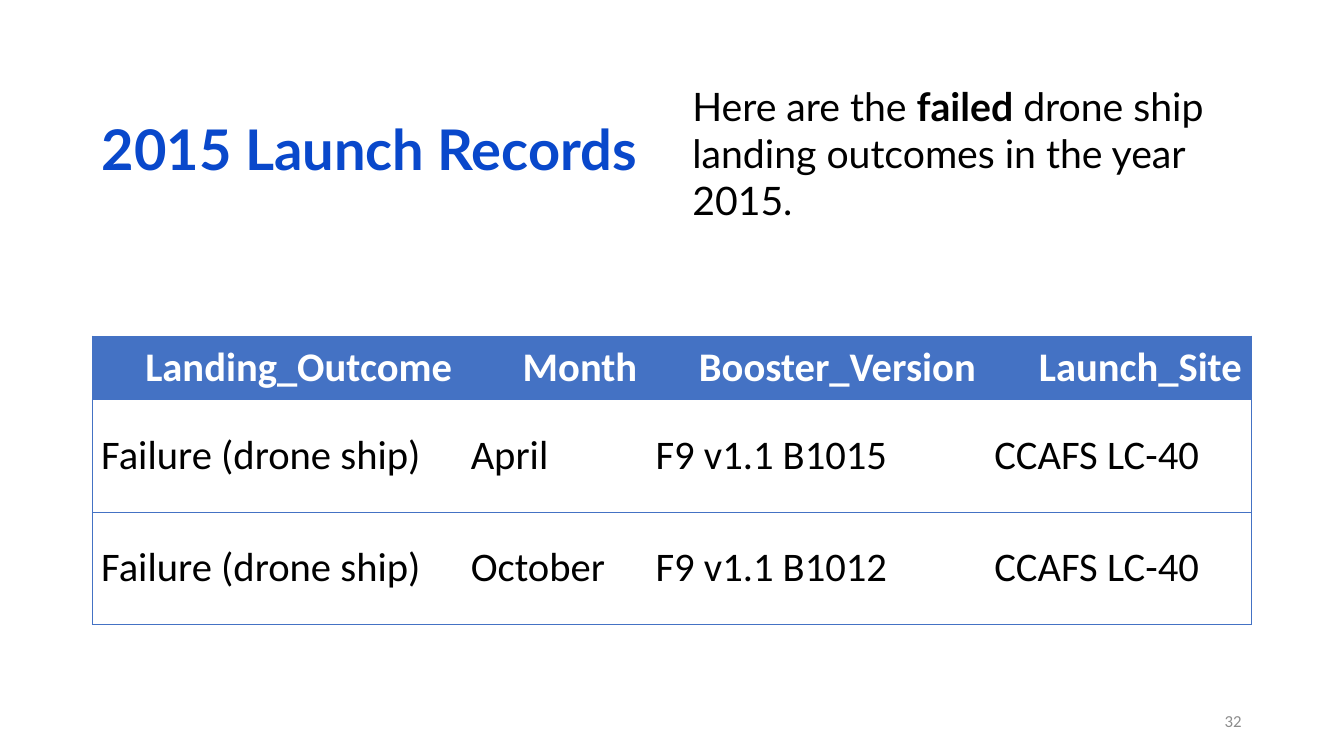
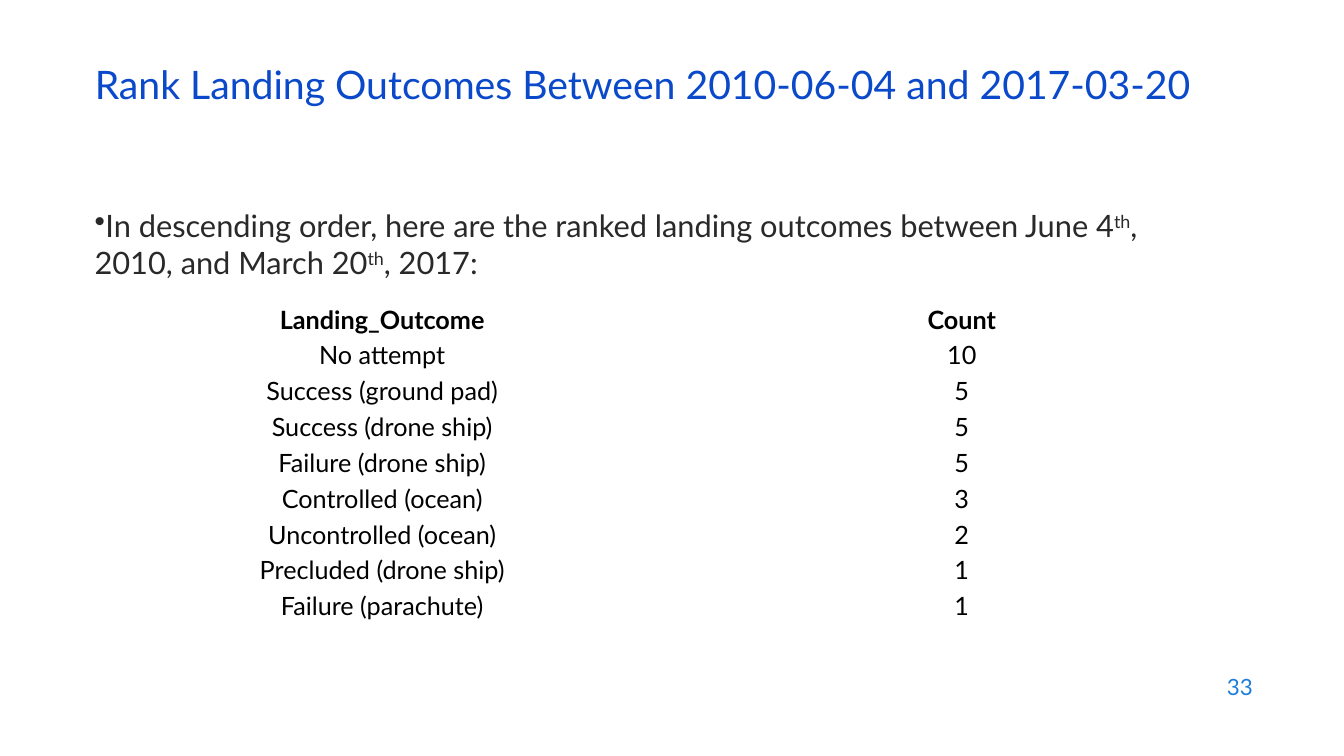
from dataclasses import dataclass

from lxml import etree
from pptx import Presentation
from pptx.dml.color import RGBColor
from pptx.enum.text import MSO_ANCHOR, MSO_AUTO_SIZE, PP_ALIGN
from pptx.oxml.ns import qn
from pptx.util import Pt

NO_STYLE = "{2D5ABB26-0587-4C30-8999-92F81FD0307C}"


@dataclass(frozen=True)
class Font:
    name: str
    size: float
    color: str
    bold: bool = False

    def apply(self, r, mark=""):
        """Format a run; mark is "b" for bold or "sup" for superscript."""
        r.font.name, r.font.size = self.name, Pt(self.size)
        r.font.bold = self.bold or mark == "b"
        r.font.color.rgb = RGBColor.from_string(self.color)
        if mark == "sup":
            r._r.get_or_add_rPr().set("baseline", "30000")


@dataclass(frozen=True)
class Theme:
    accent: str = "4472C4"
    rule: float = 0.5
    big_title: Font = Font("Lato", 40, "0948CB", True)
    title: Font = Font("Lato", 28, "0B49CB")
    lead: Font = Font("Lato", 28, "000000")
    bullet: Font = Font("Lato", 22, "292929")
    small_number: Font = Font("Calibri", 12, "8C8C8C")
    number: Font = Font("Lato", 16, "1C7DDB")
    record_head: Font = Font("Calibri", 29, "FFFFFF", True)
    record: Font = Font("Calibri", 29, "000000")
    rank_head: Font = Font("Lato", 18, "000000", True)
    rank: Font = Font("Lato", 18, "000000")


class Deck:
    def __init__(self, theme):
        self.theme = theme
        self.prs = Presentation()
        self.prs.slide_width, self.prs.slide_height = Pt(960), Pt(540)
        self.s = None

    def slide(self, title, box, font, spacing):
        self.s = self.prs.slides.add_slide(self.prs.slide_layouts[5])
        sp = self.s.shapes.title
        sp.left, sp.top, sp.width, sp.height = map(Pt, box)
        self._fill_text(sp.text_frame, [(title, "")], font,
                        PP_ALIGN.LEFT, MSO_ANCHOR.MIDDLE)
        sp.text_frame.paragraphs[0].line_spacing = spacing

    def _fill_text(self, tf, parts, font, align, anchor, bullet=False):
        tf.word_wrap, tf.auto_size = True, MSO_AUTO_SIZE.NONE
        tf.vertical_anchor = anchor
        p = tf.paragraphs[0]
        p.alignment = align
        if bullet:
            etree.SubElement(p._p.get_or_add_pPr(), qn("a:buChar")).set("char", "•")
        for text, mark in parts:
            r = p.add_run()
            r.text = text
            font.apply(r, mark)

    def text(self, parts, box, font, align=PP_ALIGN.LEFT,
             anchor=MSO_ANCHOR.MIDDLE, bullet=False):
        """Add one paragraph made of (text, mark) parts."""
        sp = self.s.shapes.add_textbox(*map(Pt, box))
        self._fill_text(sp.text_frame, parts, font, align, anchor, bullet)

    def page_number(self, number, box, font):
        self.text([(str(number), "")], box, font, PP_ALIGN.RIGHT)

    def _borders(self, cell, sides):
        tcPr = cell._tc.get_or_add_tcPr()
        for side in sides:
            ln = etree.SubElement(tcPr, qn(f"a:ln{side}"), w=str(Pt(self.theme.rule)))
            fill = etree.SubElement(ln, qn("a:solidFill"))
            etree.SubElement(fill, qn("a:srgbClr"), val=self.theme.accent)

    def table(self, rows, left, top, widths, heights, fonts, aligns, insets,
              ruled=False):
        """Add a table; fonts and aligns are (header, body) pairs.

        A ruled table has an accent header, a frame and row lines.
        """
        tbl = self.s.shapes.add_table(len(rows), len(widths), Pt(left), Pt(top),
                                      Pt(sum(widths)), Pt(sum(heights))).table
        tbl._tbl.tblPr.find(qn("a:tableStyleId")).text = NO_STYLE
        tbl.first_row = tbl.horz_banding = False
        for column, width in zip(tbl.columns, widths):
            column.width = Pt(width)
        for i, (values, height) in enumerate(zip(rows, heights)):
            tbl.rows[i].height = Pt(height)
            body = int(i > 0)
            for j, value in enumerate(values):
                cell = tbl.cell(i, j)
                cell.margin_left = cell.margin_right = Pt(insets[0])
                cell.margin_top = cell.margin_bottom = Pt(insets[1])
                cell.vertical_anchor = MSO_ANCHOR.MIDDLE
                p = cell.text_frame.paragraphs[0]
                p.text, p.alignment = value, aligns[body]
                fonts[body].apply(p.runs[0])
                if ruled:
                    outer = ("L" if j == 0 else "") + ("R" if j == len(widths) - 1 else "")
                    self._borders(cell, outer + "TB")
                if ruled and not body:
                    cell.fill.solid()
                    cell.fill.fore_color.rgb = RGBColor.from_string(self.theme.accent)
                else:
                    cell.fill.background()


def launch_records(deck):
    t = deck.theme
    deck.slide("2015 Launch Records", (65.5, 43, 407, 132), t.big_title, 0.9)
    deck.text([("Here are the ", ""), ("failed", "b"),
               (" drone ship landing outcomes in the year 2015.", "")],
              (487.5, 43, 406, 132), t.lead)
    deck.page_number(32, (678, 500.5, 216, 29), t.small_number)
    rows = [("Landing_Outcome", "Month", "Booster_Version", "Launch_Site"),
            ("Failure (drone ship)", "April", "F9 v1.1 B1015", "CCAFS LC-40"),
            ("Failure (drone ship)", "October", "F9 v1.1 B1012", "CCAFS LC-40")]
    deck.table(rows, 65.8, 240, (264, 132, 242, 190), (45.4, 80.2, 80.2),
               (t.record_head, t.record), (PP_ALIGN.RIGHT, PP_ALIGN.LEFT),
               (6.5, 3), ruled=True)


def ranked_outcomes(deck):
    t = deck.theme
    deck.slide("Rank Landing Outcomes Between 2010-06-04 and 2017-03-20",
               (60.5, 42.5, 828, 43), t.title, 0.7)
    deck.page_number(33, (686, 474.5, 216, 32), t.number)
    deck.text([("In descending order, here are the ranked landing outcomes "
                "between June 4", ""), ("th", "sup"),
               (", 2010, and March 20", ""), ("th", "sup"), (", 2017:", "")],
              (60.5, 144, 767.5, 343), t.bullet, anchor=MSO_ANCHOR.TOP, bullet=True)
    rows = [("Landing_Outcome", "Count"), ("No attempt", "10"),
            ("Success (ground pad)", "5"), ("Success (drone ship)", "5"),
            ("Failure (drone ship)", "5"), ("Controlled (ocean)", "3"),
            ("Uncontrolled (ocean)", "2"), ("Precluded (drone ship)", "1"),
            ("Failure (parachute)", "1")]
    deck.table(rows, 66, 215.3, (414, 414), [25.6] * len(rows),
               (t.rank_head, t.rank), (PP_ALIGN.CENTER, PP_ALIGN.CENTER), (4, 2))


def main():
    deck = Deck(Theme())
    launch_records(deck)
    ranked_outcomes(deck)
    deck.prs.save("out.pptx")


if __name__ == "__main__":
    main()
